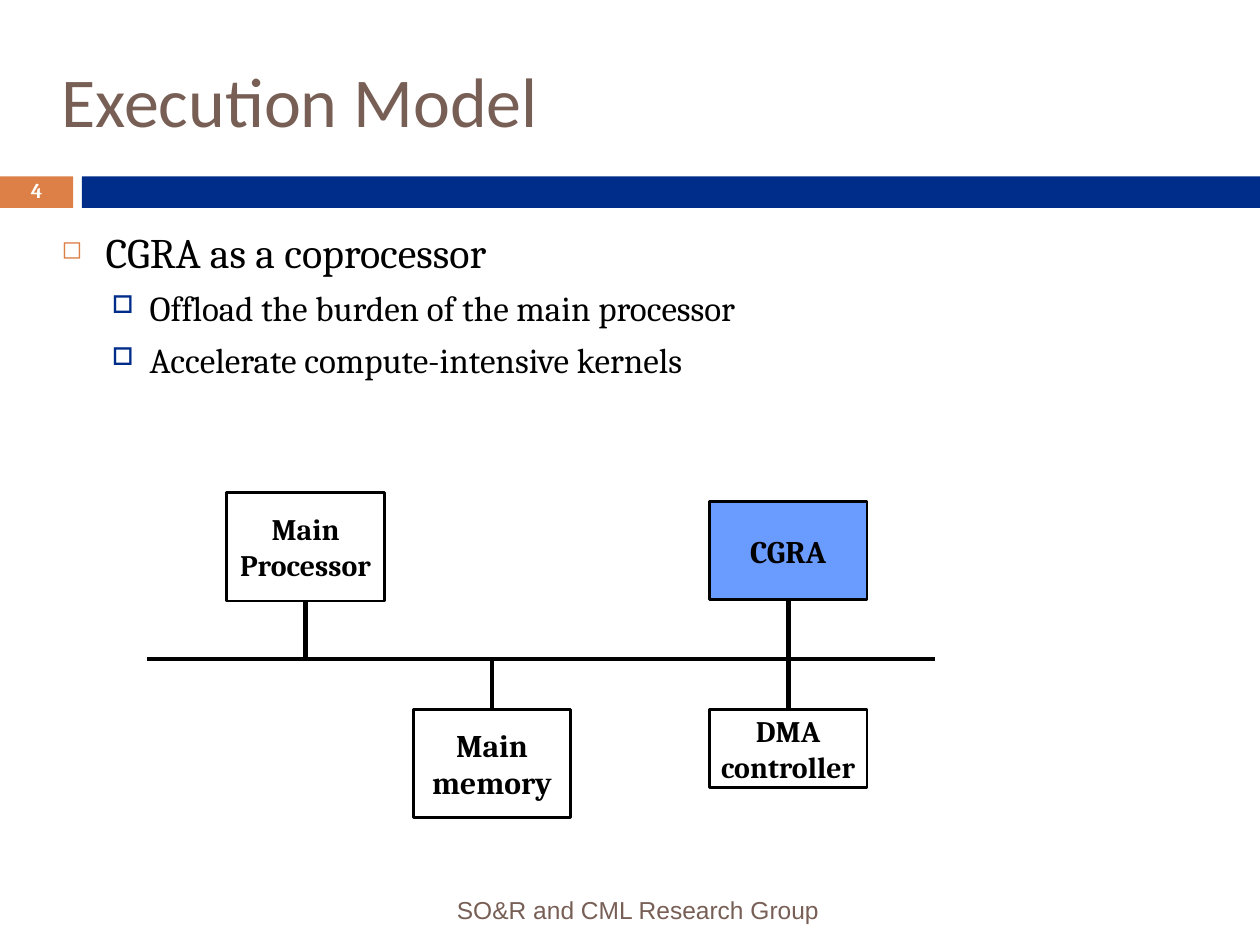
from lxml.etree import SubElement
from pptx import Presentation
from pptx.dml.color import RGBColor
from pptx.enum.shapes import MSO_CONNECTOR, MSO_SHAPE
from pptx.enum.text import MSO_ANCHOR, PP_ALIGN
from pptx.oxml.ns import qn
from pptx.util import Inches, Pt

TITLE = "Execution Model"
FOOTER = "SO&R and CML Research Group"
NUMBER = "4"
BULLETS = [
    (0, "CGRA as a coprocessor"),
    (1, "Offload the burden of the main processor"),
    (1, "Accelerate compute-intensive kernels"),
]
BUS = {"left": 1.17, "right": 7.42, "y": 5.23}
BOX_W = 1.25
BLOCKS = [
    {"lines": ["Main", "Processor"], "left": 1.8, "top": 3.91, "height": 0.86, "style": "tight"},
    {"lines": ["CGRA"], "left": 5.63, "top": 3.98, "height": 0.78, "style": "block", "fill": "accent"},
    {"lines": ["Main memory"], "left": 3.28, "top": 5.63, "height": 0.86, "style": "block"},
    {"lines": ["DMA controller"], "left": 5.63, "top": 5.63, "height": 0.62, "style": "tight"},
]
THEME = {
    "colors": {"orange": "DD8047", "navy": "002D89", "brown": "775F55",
               "accent": "6A9BFF", "black": "000000", "white": "FFFFFF"},
    "text": {
        "title": {"name": "Calibri", "size": 40, "color": "brown"},
        "footer": {"name": "Arial", "size": 14, "color": "brown"},
        "number": {"name": "Cambria", "size": 12, "color": "white", "bold": True},
        "block": {"name": "Cambria", "size": 18, "color": "black", "bold": True},
        "tight": {"name": "Cambria", "size": 17, "color": "black", "bold": True},
        "level0": {"name": "Cambria", "size": 24, "color": "black"},
        "level1": {"name": "Cambria", "size": 20, "color": "black"},
    },
    "bullets": [
        {"char": "◻", "color": "orange", "size": 60, "left": 0.35, "hang": 0.35, "before": 0},
        {"char": "□", "color": "navy", "size": 70, "left": 0.7, "hang": 0.3, "before": 5.5},
    ],
    "border": 1.5,
    "wire": 2.75,
}


def rgb(name):
    return RGBColor.from_string(THEME["colors"][name])


def set_font(font, style):
    for key, value in THEME["text"][style].items():
        if key == "color":
            font.color.rgb = rgb(value)
        else:
            setattr(font, key, Pt(value) if key == "size" else value)


def write(sp, lines, style, align=PP_ALIGN.LEFT, anchor=MSO_ANCHOR.MIDDLE, inset=0.1):
    tf = sp.text_frame
    frame = {"word_wrap": True, "vertical_anchor": anchor,
             "margin_left": Inches(inset), "margin_right": Inches(inset),
             "margin_top": Inches(0.05), "margin_bottom": Inches(0.05)}
    for key, value in frame.items():
        setattr(tf, key, value)
    for i, line in enumerate(lines):
        p = tf.paragraphs[0] if i == 0 else tf.add_paragraph()
        p.alignment = align
        r = p.add_run()
        r.text = line
        set_font(r.font, style)
    return tf


def add_text(s, at, lines, style, **options):
    sp = s.shapes.add_textbox(*map(Inches, at))
    return write(sp, lines, style, **options)


def add_rect(s, at, fill=None, border=None):
    sp = s.shapes.add_shape(MSO_SHAPE.RECTANGLE, *map(Inches, at))
    sp.shadow.inherit = False
    if fill:
        sp.fill.solid()
        sp.fill.fore_color.rgb = rgb(fill)
    else:
        sp.fill.background()
    if border:
        sp.line.color.rgb = rgb("black")
        sp.line.width = Pt(border)
    else:
        sp.line.fill.background()
    return sp


def add_wire(s, x1, y1, x2, y2):
    sp = s.shapes.add_connector(MSO_CONNECTOR.STRAIGHT, *map(Inches, (x1, y1, x2, y2)))
    sp.line.color.rgb = rgb("black")
    sp.line.width = Pt(THEME["wire"])
    SubElement(sp._element.spPr, qn("a:effectLst"))


def add_bullet(p, level):
    b = THEME["bullets"][level]
    p.level = level
    pPr = p._p.get_or_add_pPr()
    pPr.set("marL", str(Inches(b["left"])))
    pPr.set("indent", str(-Inches(b["hang"])))
    color = SubElement(pPr, qn("a:buClr"))
    SubElement(color, qn("a:srgbClr"), val=THEME["colors"][b["color"]])
    SubElement(pPr, qn("a:buSzPct"), val=str(b["size"] * 1000))
    SubElement(pPr, qn("a:buChar"), char=b["char"])
    p.space_before = Pt(b["before"])
    set_font(p.runs[0].font, f"level{level}")


def add_block(s, block):
    left, top, height, style = (block[k] for k in ("left", "top", "height", "style"))
    sp = add_rect(s, (left, top, BOX_W, height), block.get("fill"), THEME["border"])
    write(sp, block["lines"], style, align=PP_ALIGN.CENTER, inset=0 if style == "tight" else 0.1)
    x = left + BOX_W / 2
    edge = top + height if top < BUS["y"] else top
    add_wire(s, x, edge, x, BUS["y"])


def main():
    """Build the execution model slide."""
    prs = Presentation()
    prs.slide_width, prs.slide_height = Inches(10), Inches(7.5)
    s = prs.slides.add_slide(prs.slide_layouts[6])
    add_rect(s, (0, 1.4, 0.58, 0.25), "orange")
    add_rect(s, (0.65, 1.4, 9.35, 0.25), "navy")
    add_text(s, (0.39, 0.25, 9.2, 1.08), [TITLE], "title")
    add_text(s, (0.67, 7.02, 5.93, 0.4), [FOOTER], "footer", align=PP_ALIGN.RIGHT)
    tf = add_text(s, (0, 1.39, 0.58, 0.27), [NUMBER], "number", align=PP_ALIGN.CENTER)
    tf.paragraphs[0].line_spacing = 0.8
    tf = add_text(s, (0.39, 1.75, 9.2, 4.92), [text for _, text in BULLETS], "level0",
                  anchor=MSO_ANCHOR.TOP)
    for p, (level, _) in zip(tf.paragraphs, BULLETS):
        add_bullet(p, level)
    add_wire(s, BUS["left"], BUS["y"], BUS["right"], BUS["y"])
    for block in BLOCKS:
        add_block(s, block)
    prs.save("out.pptx")


if __name__ == "__main__":
    main()
